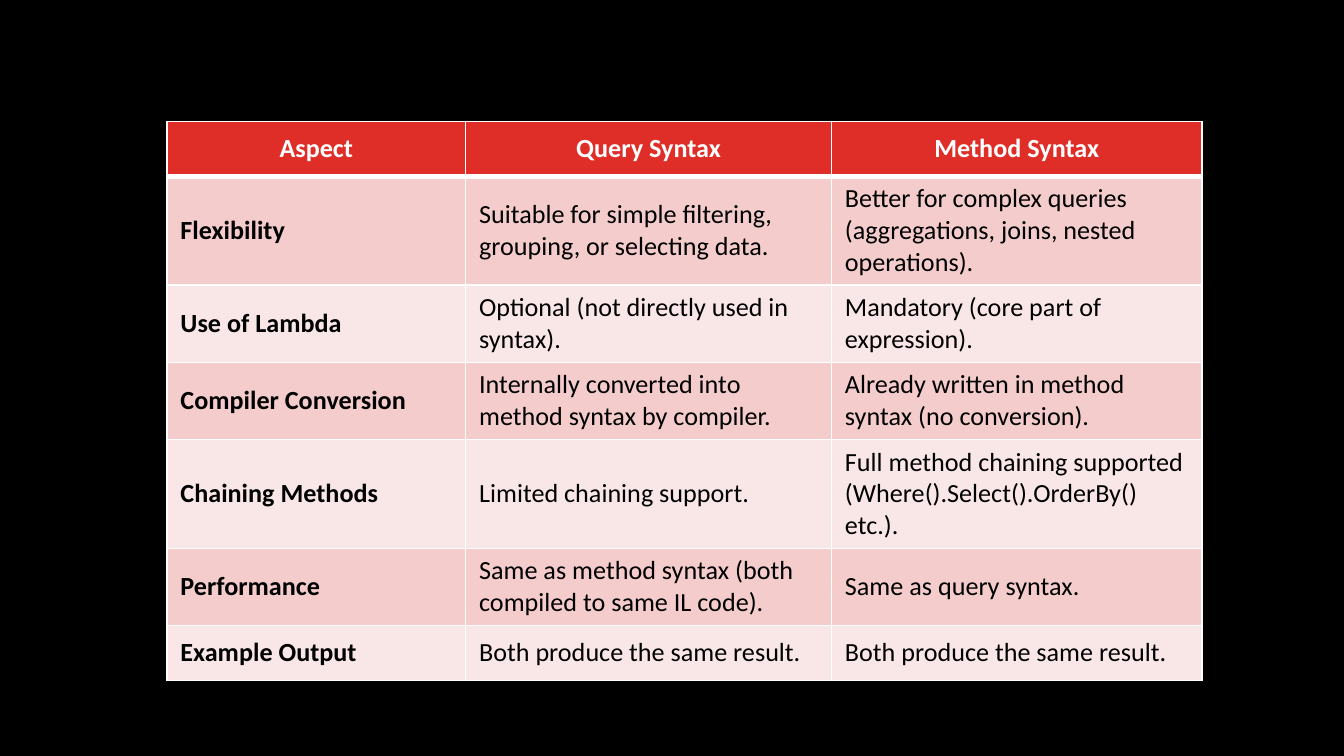
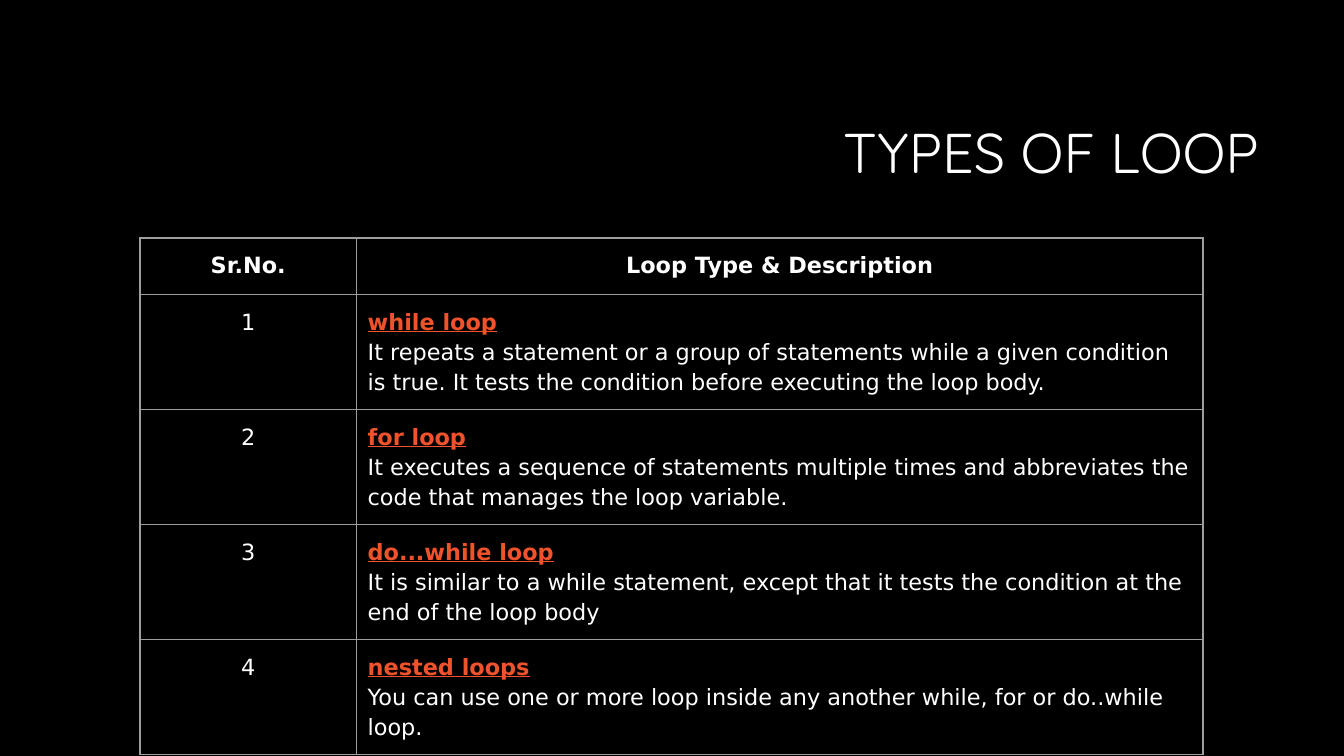
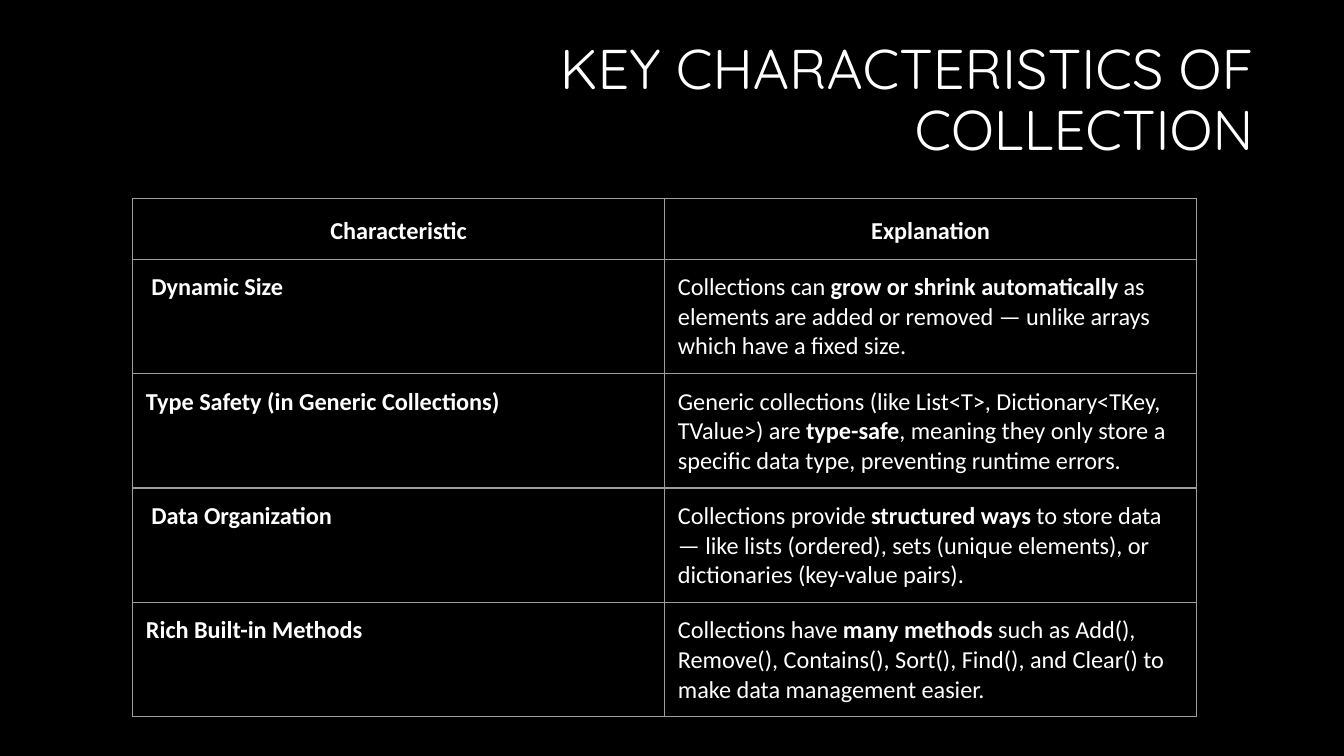
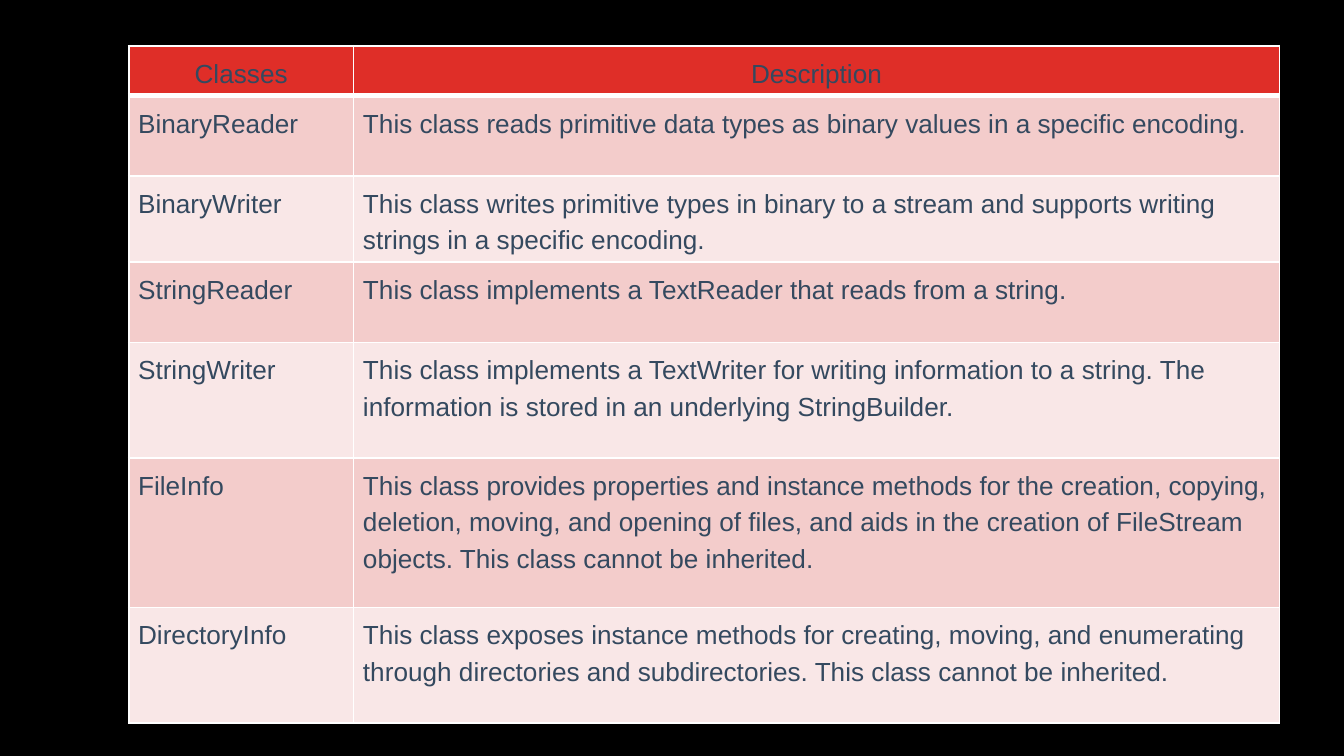
from lxml.etree import SubElement
from pptx import Presentation
from pptx.dml.color import RGBColor
from pptx.enum.text import MSO_ANCHOR, PP_ALIGN
from pptx.oxml.ns import qn
from pptx.util import Pt

COLORS = {
    "background": "000000",
    "light": "FFFFFF",
    "dark": "000000",
    "slate": "34495F",
    "link": "F0532B",
    "grid": "9E9E9E",
    "header": "DF2E28",
    "band_odd": "F3CCCB",
    "band_even": "F9E7E7",
}

SYNTAX_ROWS = [
    ("Aspect", "Query Syntax", "Method Syntax"),
    ("Flexibility", "Suitable for simple filtering, grouping, or selecting data.",
     "Better for complex queries (aggregations, joins, nested operations)."),
    ("Use of Lambda", "Optional (not directly used in syntax).",
     "Mandatory (core part of expression)."),
    ("Compiler Conversion", "Internally converted into method syntax by compiler.",
     "Already written in method syntax (no conversion)."),
    ("Chaining Methods", "Limited chaining support.",
     "Full method chaining supported (Where().Select().OrderBy() etc.)."),
    ("Performance", "Same as method syntax (both compiled to same IL code).",
     "Same as query syntax."),
    ("Example Output", "Both produce the same result.", "Both produce the same result."),
]

LOOPS = [
    ("while loop", "It repeats a statement or a group of statements while a given "
     "condition is true. It tests the condition before executing the loop body."),
    ("for loop", "It executes a sequence of statements multiple times and abbreviates "
     "the code that manages the loop variable."),
    ("do...while loop", "It is similar to a while statement, except that it tests the "
     "condition at the end of the loop body"),
    ("nested loops", "You can use one or more loop inside any another while, for or "
     "do..while loop."),
]

CHARACTERISTICS = [
    ("Characteristic", "Explanation"),
    (" Dynamic Size", "Collections can **grow or shrink automatically** as elements are "
     "added or removed — unlike arrays which have a fixed size."),
    ("Type Safety (in Generic Collections)",
     "Generic collections (like List<T>, Dictionary<TKey, TValue>) are **type-safe**, "
     "meaning they only store a specific data type, preventing runtime errors."),
    (" Data Organization", "Collections provide **structured ways** to store data — like "
     "lists (ordered), sets (unique elements), or dictionaries (key-value pairs)."),
    ("Rich Built-in Methods", "Collections have **many methods** such as Add(), Remove(), "
     "Contains(), Sort(), Find(), and Clear() to make data management easier."),
]

FILE_CLASSES = [
    ("Classes", "Description"),
    ("BinaryReader",
     "This class reads primitive data types as binary values in a specific encoding."),
    ("BinaryWriter", "This class writes primitive types in binary to a stream and "
     "supports writing strings in a specific encoding."),
    ("StringReader", "This class implements a TextReader that reads from a string."),
    ("StringWriter", "This class implements a TextWriter for writing information to a "
     "string. The information is stored in an underlying StringBuilder."),
    ("FileInfo", "This class provides properties and instance methods for the creation, "
     "copying, deletion, moving, and opening of files, and aids in the creation of "
     "FileStream objects. This class cannot be inherited."),
    ("DirectoryInfo", "This class exposes instance methods for creating, moving, and "
     "enumerating through directories and subdirectories. This class cannot be inherited."),
]


def rgb(name):
    return RGBColor.from_string(COLORS[name])


def write(frame, text, *, font, size, color="light", bold=False, underline=False,
          align=PP_ALIGN.LEFT, spacing=1.0):
    paragraph = frame.paragraphs[0] if not frame.text else frame.add_paragraph()
    paragraph.alignment = align
    paragraph.line_spacing = spacing
    for index, part in enumerate(text.split("**")):
        run = paragraph.add_run()
        run.text = part
        run.font.name = font
        run.font.size = Pt(size)
        run.font.bold = bold or index % 2 == 1
        run.font.underline = underline
        run.font.color.rgb = rgb(color)


def add_slide(deck):
    slide = deck.slides.add_slide(deck.slide_layouts[6])
    slide.background.fill.solid()
    slide.background.fill.fore_color.rgb = rgb("background")
    return slide


def add_title(slide, text, left, top):
    frame = slide.shapes.add_textbox(Pt(left), Pt(top), Pt(508), Pt(76)).text_frame
    frame.word_wrap = True
    frame.vertical_anchor = MSO_ANCHOR.MIDDLE
    frame.margin_left = frame.margin_right = Pt(5)
    frame.margin_top = frame.margin_bottom = Pt(3)
    write(frame, text, font="Quicksand", size=30, align=PP_ALIGN.RIGHT, spacing=0.9)


def set_borders(cell, color, widths):
    properties = cell._tc.get_or_add_tcPr()
    for side, width in zip("LRTB", widths):
        line = SubElement(properties, qn(f"a:ln{side}"), w=str(Pt(width)))
        fill = SubElement(line, qn("a:solidFill"))
        SubElement(fill, qn("a:srgbClr"), val=COLORS[color])


def add_grid(slide, left, top, columns, rows, height, margins=(7.2, 3.6),
             banded=False, anchor=MSO_ANCHOR.TOP):
    holder = slide.shapes.add_table(len(rows), len(columns), Pt(left), Pt(top),
                                    Pt(sum(columns)), Pt(sum(rows)))
    table = holder.table
    table.first_row = table.horz_banding = False
    for column, width in zip(table.columns, columns):
        column.width = Pt(width)
    for row, row_height in zip(table.rows, rows):
        row.height = Pt(row_height)
    holder.height = Pt(height)
    for row_index, row in enumerate(table.rows):
        for cell in row.cells:
            cell.vertical_anchor = anchor
            cell.margin_left = cell.margin_right = Pt(margins[0])
            cell.margin_top = cell.margin_bottom = Pt(margins[1])
            if banded:
                above = 3 if row_index == 1 else 1
                below = 3 if row_index == 0 else 1
                set_borders(cell, "light", (1, 1, above, below))
                band = "band_odd" if row_index % 2 else "band_even"
                cell.fill.solid()
                cell.fill.fore_color.rgb = rgb("header" if row_index == 0 else band)
            else:
                set_borders(cell, "grid", [0.75] * 4)
                cell.fill.background()
    return table


def fill_grid(table, content, header, label, body):
    for row_index, texts in enumerate(content):
        for column_index, text in enumerate(texts):
            style = header if row_index == 0 else body if column_index else label
            write(table.cell(row_index, column_index).text_frame, text, **style)


def build_syntax_slide(deck):
    table = add_grid(add_slide(deck), 89.5, 65, [160, 196, 198.5], [29.5] * 7, 296,
                     banded=True, anchor=MSO_ANCHOR.MIDDLE)
    body = dict(font="Calibri", size=14, color="dark")
    label = dict(body, bold=True)
    header = dict(label, color="light", align=PP_ALIGN.CENTER)
    fill_grid(table, SYNTAX_ROWS, header, label, body)


def build_loops_slide(deck):
    slide = add_slide(deck)
    add_title(slide, "TYPES OF LOOP", 171.5, 45.5)
    table = add_grid(slide, 75, 127.5, [116, 453.5], [30.25] * 5, 236, margins=(6, 6))
    body = dict(font="DejaVu Sans", size=12, spacing=1.15)
    number = dict(body, align=PP_ALIGN.CENTER)
    header = dict(number, bold=True)
    fill_grid(table, [("Sr.No.", "Loop Type & Description")], header, number, body)
    for index, (loop, description) in enumerate(LOOPS, 1):
        write(table.cell(index, 0).text_frame, str(index), **number)
        details = table.cell(index, 1).text_frame
        write(details, loop, color="link", bold=True, underline=True, **body)
        write(details, description, **body)


def build_characteristics_slide(deck):
    slide = add_slide(deck)
    add_title(slide, "KEY CHARACTERISTICS OF COLLECTION", 168.5, 16.5)
    table = add_grid(slide, 71, 106.5, [285, 285], [30.25] * 5, 276, margins=(7.2, 7.2))
    body = dict(font="Calibri", size=13)
    label = dict(body, bold=True)
    header = dict(label, align=PP_ALIGN.CENTER, spacing=1.15)
    fill_grid(table, CHARACTERISTICS, header, label, body)


def build_file_classes_slide(deck):
    table = add_grid(add_slide(deck), 69, 24.5, [120.5, 496], [26.5, 43, 43, 43, 62, 80, 62],
                     374, margins=(5, 3.6), banded=True)
    body = dict(font="Arial", size=14, color="slate", spacing=Pt(19.5))
    header = dict(body, align=PP_ALIGN.CENTER)
    fill_grid(table, FILE_CLASSES, header, body, body)


def main():
    deck = Presentation()
    deck.slide_width, deck.slide_height = Pt(720), Pt(405)
    build_syntax_slide(deck)
    build_loops_slide(deck)
    build_characteristics_slide(deck)
    build_file_classes_slide(deck)
    deck.save("out.pptx")


if __name__ == "__main__":
    main()
